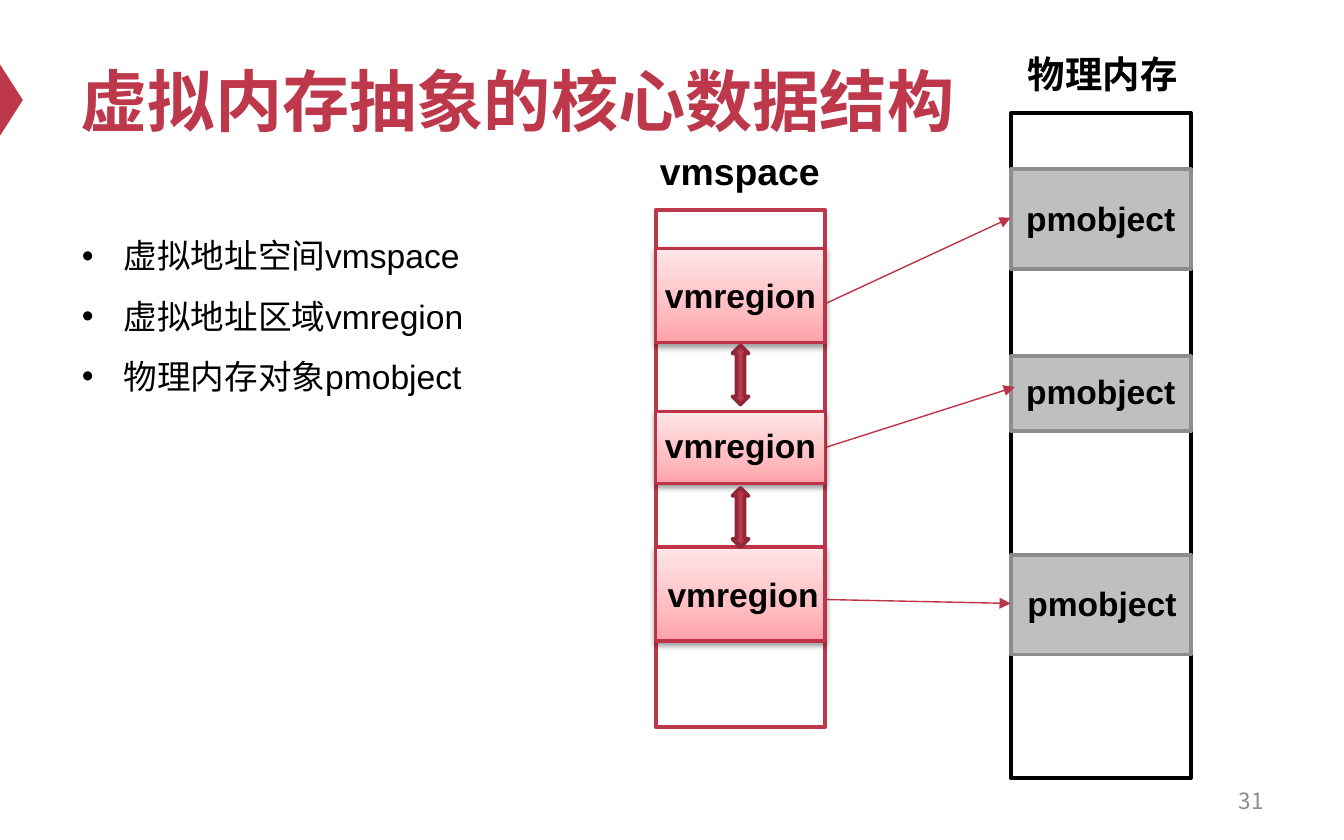
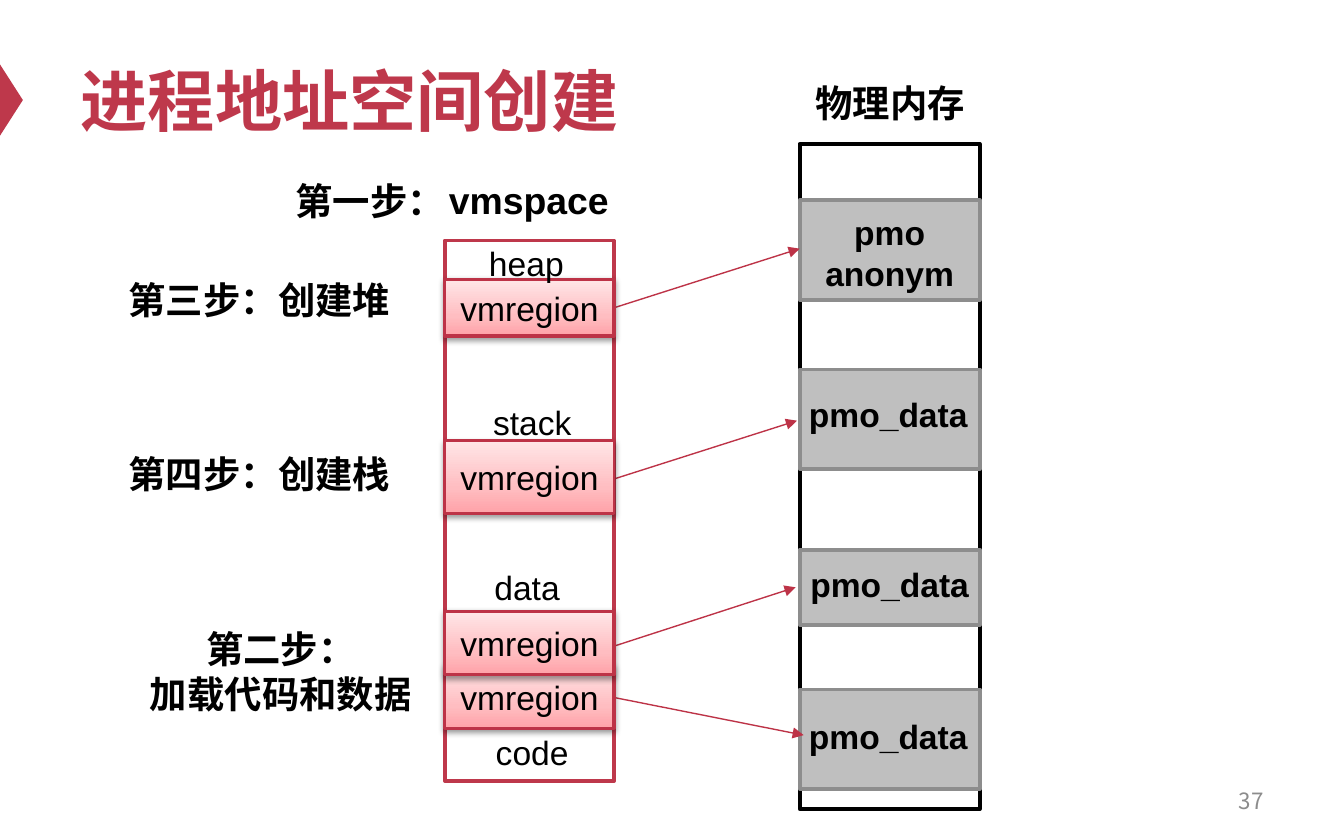
from lxml import etree
from pptx import Presentation
from pptx.dml.color import RGBColor
from pptx.enum.shapes import MSO_CONNECTOR as Connector, MSO_SHAPE as Shape
from pptx.enum.text import MSO_ANCHOR as Anchor, MSO_AUTO_SIZE as AutoSize, PP_ALIGN as Align
from pptx.oxml import parse_xml
from pptx.oxml.ns import nsdecls, qn
from pptx.util import Inches, Pt

RED = RGBColor(0xBE, 0x38, 0x4B)
EDGE_RED = RGBColor(0xBD, 0x33, 0x47)
DARK_RED = RGBColor(0x8D, 0x29, 0x37)
BLACK = RGBColor(0, 0, 0)
WHITE = RGBColor(0xFF, 0xFF, 0xFF)
SILVER = RGBColor(0xBF, 0xBF, 0xBF)
GRAY = RGBColor(0x8D, 0x8D, 0x8D)
NUMBER_GRAY = RGBColor(0x8C, 0x8C, 0x8C)
CJK_FONT = "Noto Sans CJK SC"

GRADIENT = f"""<a:gradFill {nsdecls('a')} rotWithShape="1"><a:gsLst>
<a:gs pos="0"><a:srgbClr val="FFA2A8"/></a:gs>
<a:gs pos="35000"><a:srgbClr val="FFBDC1"/></a:gs>
<a:gs pos="100000"><a:srgbClr val="FFE6E7"/></a:gs>
</a:gsLst><a:lin ang="16200000" scaled="1"/></a:gradFill>"""
SHADOW = f"""<a:outerShdw {nsdecls('a')} blurRad="40000" dist="20000" dir="5400000" rotWithShape="0">
<a:srgbClr val="000000"><a:alpha val="38000"/></a:srgbClr></a:outerShdw>"""


def write(box, text, size=18, color=BLACK, bold=False, align=Align.CENTER, anchor=Anchor.TOP,
          font="Arial", wrap=True, fit=AutoSize.NONE, spacing=None, bullet=None):
    frame = box.text_frame
    frame.text = text
    frame.word_wrap = wrap
    frame.auto_size = fit
    frame.vertical_anchor = anchor
    for para in frame.paragraphs:
        para.alignment = align
        para.space_before = Pt(0)
        if spacing:
            para.line_spacing = spacing
        if bullet:
            settings = para._p.get_or_add_pPr()
            settings.set("marL", str(Inches(0.31)))
            settings.set("indent", str(Inches(-0.31)))
            etree.SubElement(settings, qn("a:buFont")).set("typeface", "Arial")
            etree.SubElement(settings, qn("a:buChar")).set("char", bullet)
        for span in para.runs:
            span.font.name = font
            span.font.size = Pt(size)
            span.font.bold = bold
            span.font.color.rgb = color
            etree.SubElement(span._r.get_or_add_rPr(), qn("a:ea")).set("typeface", CJK_FONT)


def draw(page, kind, left, top, width, height, fill=None, line=None, weight=2):
    box = page.shapes.add_shape(kind, Inches(left), Inches(top), Inches(width), Inches(height))
    box.shadow.inherit = False
    if fill is not None:
        box.fill.solid()
        box.fill.fore_color.rgb = fill
    else:
        box.fill.gradient()
        properties = box._element.spPr
        properties.replace(properties.find(qn("a:gradFill")), parse_xml(GRADIENT))
        properties.find(qn("a:effectLst")).append(parse_xml(SHADOW))
    if line is not None:
        box.line.color.rgb = line
        box.line.width = Pt(weight)
    else:
        box.line.fill.background()
    return box


PAGES = [
    dict(
        title="虚拟内存抽象的核心数据结构", number="31", layout=1,
        items="虚拟地址空间vmspace\n虚拟地址区域vmregion\n物理内存对象pmobject",
        space=(4.88, 1.56, 3.85), memory=(7.52, 0.84),
        objects=[(1.26, 0.74), (2.65, 0.56), (4.13, 0.74)],
        links=[(6.14, 2.26, 7.52, 1.62), (6.14, 3.33, 7.55, 2.88), (6.11, 4.46, 7.52, 4.49)],
        regions=[(1.85, 0.7, 1.75), (3.06, 0.54, 1.5), (4.07, 0.7, 1.75)], region_text="",
        arrows=[2.57, 3.63],
        headings=[("vmspace", 4.6, 1.05, 1.81, 0.44), ("物理内存", 7.3, 0.33, 1.81, 0.44)],
        names=[("vmregion", 4.76, 2, 1.5, 0.4), ("vmregion", 4.76, 3.11, 1.5, 0.4),
               ("vmregion", 4.78, 4.22, 1.5, 0.4), ("pmobject", 7.44, 1.42, 1.5, 0.4),
               ("pmobject", 7.44, 2.71, 1.5, 0.4), ("pmobject", 7.45, 4.29, 1.5, 0.4)],
        segments=[],
    ),
    dict(
        title="进程地址空间创建", number="37", layout=5, items="",
        space=(3.31, 1.79, 4.02), memory=(5.95, 1.07),
        objects=[(1.49, 0.74), (2.75, 0.74), (4.09, 0.56), (5.13, 0.74)],
        links=[(4.57, 2.29, 5.95, 1.85), (4.55, 3.57, 5.93, 3.13),
               (4.5, 4.83, 5.92, 4.37), (4.57, 5.19, 5.98, 5.47)],
        regions=[(2.08, 0.42, 1.75), (3.28, 0.54, 1.5), (4.95, 0.47, 1.75), (4.55, 0.47, 1.75)],
        region_text="vmregion", arrows=[],
        headings=[("vmspace", 3.03, 1.27, 1.81, 0.44), ("物理内存", 5.72, 0.55, 1.81, 0.44),
                  ("第一步：", 1.85, 1.28, 1.81, 0.44),
                  ("第二步：\n加载代码和数据", 0.9, 4.61, 2.38, 0.77),
                  ("第三步：创建堆", 0.74, 2.01, 2.38, 0.44),
                  ("第四步：创建栈", 0.74, 3.31, 2.38, 0.44)],
        names=[("pmo\nanonym", 5.95, 1.53, 1.34, 0.71), ("pmo_data", 5.86, 2.88, 1.5, 0.4),
               ("pmo_data", 5.87, 4.15, 1.5, 0.4), ("pmo_data", 5.86, 5.28, 1.5, 0.4)],
        segments=[("heap", 3.54, 1.76, 0.76, 0.4), ("stack", 3.57, 2.94, 0.79, 0.4),
                  ("data", 3.58, 4.17, 0.69, 0.4), ("code", 3.59, 5.4, 0.75, 0.4)],
    ),
]
LABEL_STYLES = {
    "headings": dict(size=20, bold=True),
    "names": dict(bold=True),
    "segments": dict(align=Align.LEFT, wrap=False),
}

deck = Presentation()
deck.slide_width = Inches(10)
deck.slide_height = Inches(6.25)

for content in PAGES:
    page = deck.slides.add_slide(deck.slide_layouts[content["layout"]])
    marker = draw(page, Shape.ISOSCELES_TRIANGLE, -0.18, 0.66, 0.53, 0.17, fill=RED)
    marker.rotation = 90

    title = page.shapes.title
    title.left, title.top, title.width, title.height = map(Inches, (0.5, 0.25, 9, 0.98))
    write(title, content["title"], size=36, color=RED, bold=True, align=Align.LEFT, anchor=Anchor.MIDDLE)

    number = page.shapes.add_textbox(Inches(7.17), Inches(5.79), Inches(2.33), Inches(0.33))
    write(number, content["number"], size=12, color=NUMBER_GRAY, font=CJK_FONT,
          align=Align.RIGHT, anchor=Anchor.MIDDLE)

    if content["items"]:
        body = page.placeholders[1]
        body.left, body.top, body.width, body.height = map(Inches, (0.51, 1.55, 3.15, 1.41))
        write(body, content["items"], align=Align.LEFT, spacing=1.5, bullet="•")

    space_left, space_top, space_height = content["space"]
    draw(page, Shape.RECTANGLE, space_left, space_top, 1.26, space_height, fill=WHITE, line=RED)

    memory_left, memory_top = content["memory"]
    draw(page, Shape.RECTANGLE, memory_left, memory_top, 1.34, 4.95, fill=WHITE, line=BLACK)
    for top, height in content["objects"]:
        draw(page, Shape.RECTANGLE, memory_left, top, 1.34, height, fill=SILVER, line=GRAY)

    for ends in content["links"]:
        link = page.shapes.add_connector(Connector.STRAIGHT, *map(Inches, ends))
        link.line.color.rgb = EDGE_RED
        link.line.width = Pt(0.75)
        etree.SubElement(link.line._get_or_add_ln(), qn("a:tailEnd")).set("type", "triangle")
        etree.SubElement(link._element.spPr, qn("a:effectLst"))

    for top, height, weight in content["regions"]:
        region = draw(page, Shape.RECTANGLE, space_left, top, 1.26, height, line=EDGE_RED, weight=weight)
        if content["region_text"]:
            write(region, content["region_text"], anchor=Anchor.MIDDLE)

    for top in content["arrows"]:
        draw(page, Shape.UP_DOWN_ARROW, 5.45, top, 0.12, 0.44, fill=RED, line=DARK_RED)

    for group, style in LABEL_STYLES.items():
        for text, *place in content[group]:
            label = page.shapes.add_textbox(*map(Inches, place))
            write(label, text, fit=AutoSize.SHAPE_TO_FIT_TEXT, **style)

deck.save("out.pptx")
